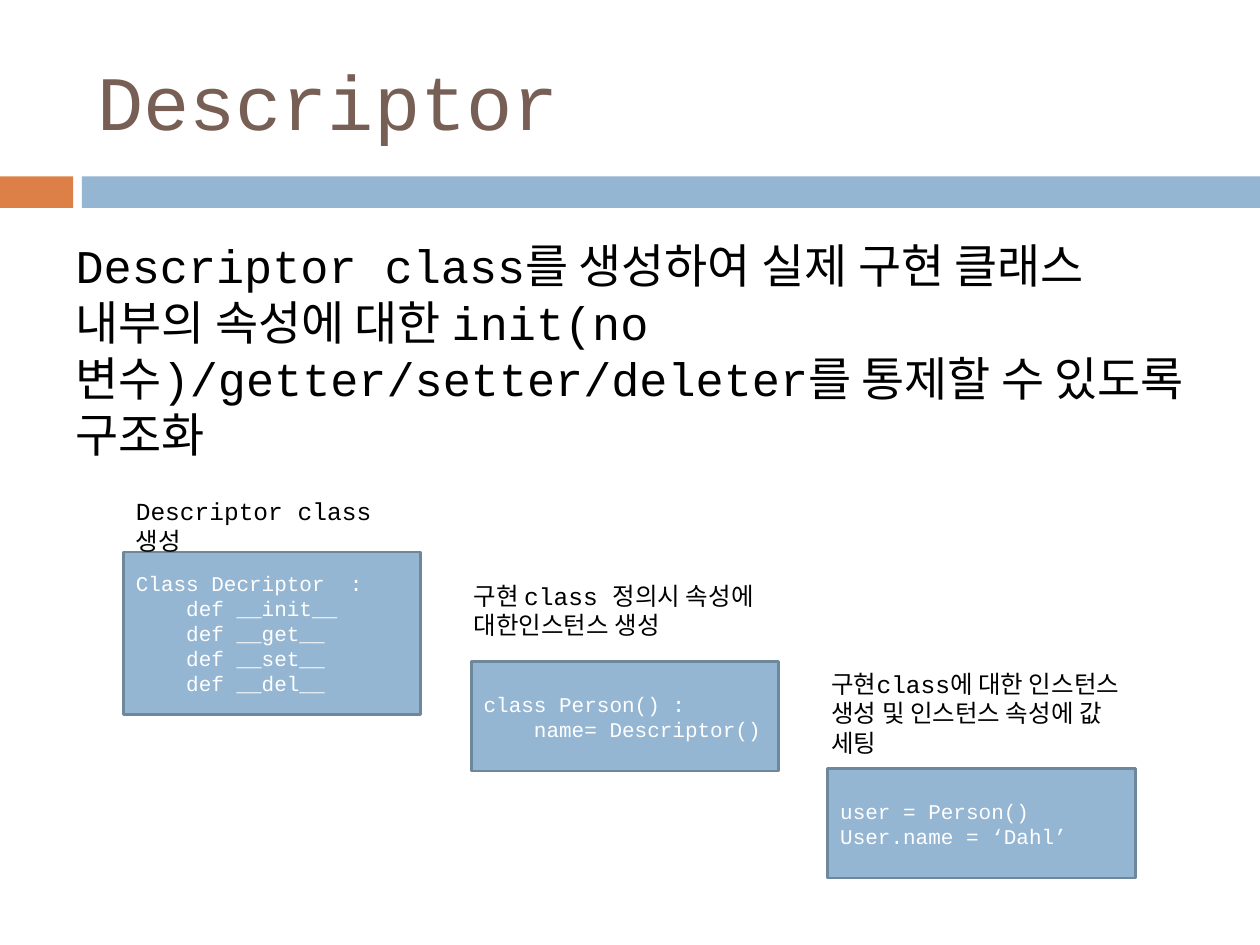
"""Build the Descriptor slide with its three code steps."""
from lxml.etree import SubElement
from pptx import Presentation
from pptx.dml.color import RGBColor
from pptx.enum.shapes import MSO_SHAPE as Shape
from pptx.enum.text import MSO_ANCHOR as Anchor, MSO_AUTO_SIZE as AutoSize, PP_ALIGN as Align
from pptx.oxml.ns import qn
from pptx.util import Inches, Pt


def color(value):
    return RGBColor.from_string(value)


class SlideBuilder:
    font_name = "Courier New"
    blue, orange, border = "94B6D2", "DD8047", "6D879B"
    brown, black, white = "775F55", "000000", "FFFFFF"

    def __init__(self, slide):
        self.slide = slide

    def place(self, shape, box):
        shape.left, shape.top, shape.width, shape.height = map(Inches, box)

    def fill_text(self, shape, lines, size, text_color, anchor=Anchor.TOP, auto_size=AutoSize.NONE):
        frame = shape.text_frame
        frame.word_wrap = True
        frame.auto_size = auto_size
        frame.vertical_anchor = anchor
        for index, line in enumerate(lines):
            paragraph = frame.add_paragraph() if index else frame.paragraphs[0]
            paragraph.alignment = Align.LEFT
            paragraph.space_before = Pt(0)
            run = paragraph.add_run()
            run.text = line
            run.font.name = self.font_name
            run.font.size = Pt(size)
            run.font.color.rgb = color(text_color)

    def title(self, text, box):
        shape = self.slide.shapes.title
        self.place(shape, box)
        self.fill_text(shape, [text], 44, self.brown, Anchor.MIDDLE)

    def body(self, text, box):
        shape = self.slide.placeholders[1]
        self.place(shape, box)
        properties = shape.text_frame.paragraphs[0]._p.get_or_add_pPr()
        properties.set("marL", "0")
        properties.set("indent", "0")
        SubElement(properties, qn("a:buNone"))
        self.fill_text(shape, [text], 26.8, self.black)

    def rectangle(self, box, fill, line=None):
        shape = self.slide.shapes.add_shape(Shape.RECTANGLE, *map(Inches, box))
        shape.shadow.inherit = False
        shape.fill.solid()
        shape.fill.fore_color.rgb = color(fill)
        if line:
            shape.line.color.rgb = color(line)
            shape.line.width = Pt(1.5)
        else:
            shape.line.fill.background()
        return shape

    def code(self, lines, box):
        shape = self.rectangle(box, self.blue, self.border)
        self.fill_text(shape, lines, 12, self.white, Anchor.MIDDLE)

    def label(self, text, box):
        shape = self.slide.shapes.add_textbox(*map(Inches, box))
        self.fill_text(shape, [text], 14, self.black, auto_size=AutoSize.SHAPE_TO_FIT_TEXT)


def main():
    presentation = Presentation()
    presentation.slide_width, presentation.slide_height = Inches(10), Inches(7.5)
    builder = SlideBuilder(presentation.slides.add_slide(presentation.slide_layouts[1]))

    builder.rectangle((0, 1.4, 0.58, 0.25), builder.orange)
    builder.rectangle((0.65, 1.4, 9.35, 0.25), builder.blue)
    builder.title("Descriptor", (0.67, 0.25, 8.92, 1.08))
    builder.body(
        "Descriptor class를 생성하여 실제 구현 클래스 내부의 속성에 대한 "
        "init(no 변수)/getter/setter/deleter를 통제할 수 있도록 구조화",
        (0.5, 1.83, 9, 1.76),
    )

    methods = [f"    def __{name}__" for name in ("init", "get", "set", "del")]
    steps = [
        ("Descriptor class 생성", (0.98, 3.89, 2.36, 0.34),
         ["Class Decriptor  :", *methods], (0.98, 4.38, 2.36, 1.29)),
        ("구현 class 정의시 속성에 대한인스턴스 생성", (3.66, 4.56, 2.52, 0.57),
         ["class Person() :", "    name= Descriptor()"], (3.74, 5.25, 2.44, 0.87)),
        ("구현class에 대한 인스턴스 생성 및 인스턴스 속성에 값 세팅", (6.5, 5.26, 2.52, 0.81),
         ["user = Person()", "User.name = ‘Dahl’"], (6.57, 6.1, 2.44, 0.87)),
    ]
    for text, label_box, lines, code_box in steps:
        builder.code(lines, code_box)
        builder.label(text, label_box)

    presentation.save("out.pptx")


if __name__ == "__main__":
    main()
